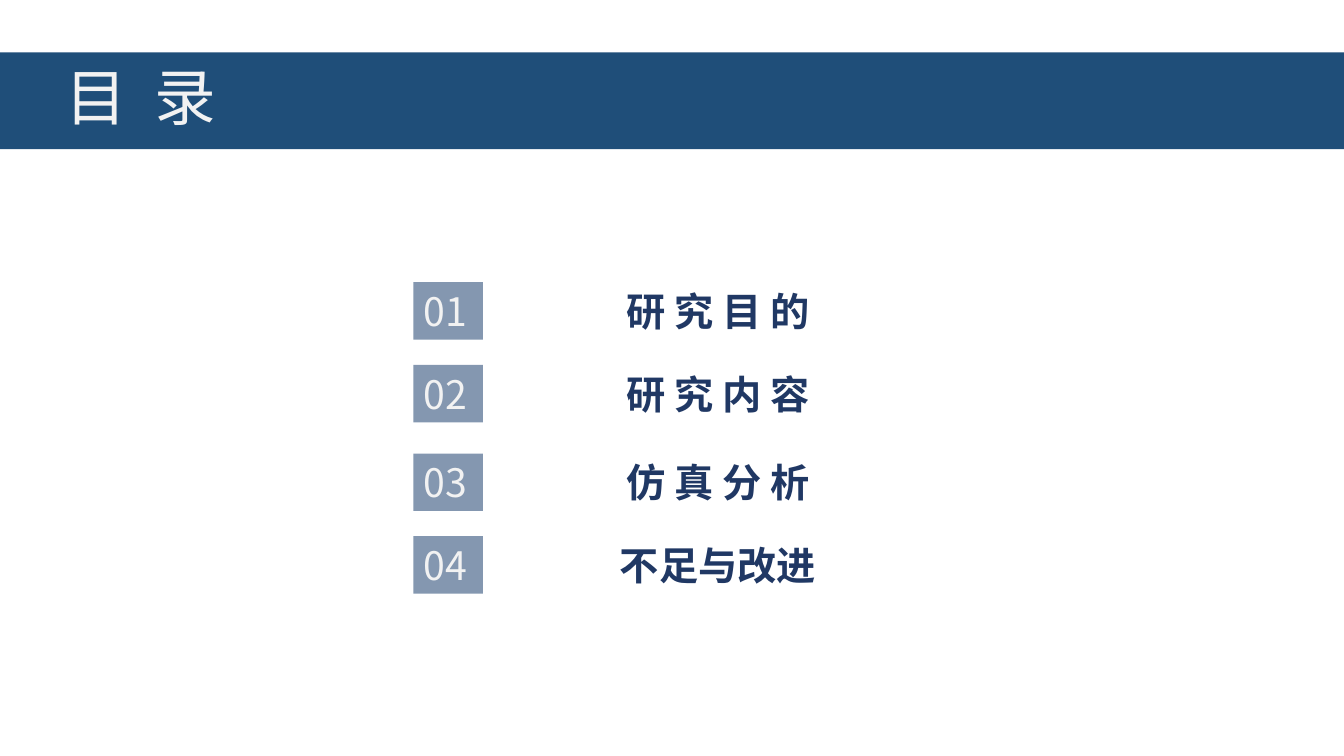
from lxml import etree
from pptx import Presentation
from pptx.dml.color import RGBColor
from pptx.enum.shapes import MSO_SHAPE
from pptx.enum.text import MSO_ANCHOR, MSO_AUTO_SIZE, PP_ALIGN
from pptx.oxml.ns import qn
from pptx.util import Inches, Pt

FONT = "Noto Sans CJK SC"
BAND, TILE, LIGHT, NAVY = "1F4E79", "8497B0", "F2F2F2", "203864"


def rgb(value):
    return RGBColor.from_string(value)


class ContentsSlide:
    def __init__(self, prs):
        self.s = prs.slides.add_slide(prs.slide_layouts[5])

    def set_text(self, sp, text, size, color, bold=False, align=PP_ALIGN.LEFT):
        tf = sp.text_frame
        tf.text = text
        tf.word_wrap = True
        tf.auto_size = MSO_AUTO_SIZE.NONE
        tf.vertical_anchor = MSO_ANCHOR.MIDDLE
        p = tf.paragraphs[0]
        p.alignment = align
        r = p.runs[0]
        r.font.size = Pt(size)
        r.font.bold = bold
        r.font.name = FONT
        r.font.color.rgb = rgb(color)
        # East Asian typeface for the Chinese characters
        rPr = r._r.get_or_add_rPr()
        etree.SubElement(rPr, qn("a:ea")).set("typeface", FONT)
        return p

    def title(self, text, left, top, width, height):
        sp = self.s.shapes.title
        sp.left, sp.top = Inches(left), Inches(top)
        sp.width, sp.height = Inches(width), Inches(height)
        sp.fill.solid()
        sp.fill.fore_color.rgb = rgb(BAND)
        p = self.set_text(sp, text, 44, LIGHT)
        p.line_spacing = 0.9
        sp.text_frame.margin_left = Inches(0.65)
        # Letter spacing in hundredths of a point
        p.runs[0]._r.get_or_add_rPr().set("spc", "490")

    def tile(self, text, left, top, width, height):
        sp = self.s.shapes.add_shape(MSO_SHAPE.RECTANGLE, Inches(left), Inches(top),
                                     Inches(width), Inches(height))
        sp.shadow.inherit = False
        sp.fill.solid()
        sp.fill.fore_color.rgb = rgb(TILE)
        sp.line.fill.background()
        self.set_text(sp, text, 28, LIGHT)

    def label(self, text, left, top, width, height):
        sp = self.s.shapes.add_textbox(Inches(left), Inches(top),
                                       Inches(width), Inches(height))
        self.set_text(sp, text, 28, NAVY, bold=True, align=PP_ALIGN.CENTER)


def main():
    prs = Presentation()
    prs.slide_width, prs.slide_height = Inches(13.33), Inches(7.5)
    slide = ContentsSlide(prs)

    # Title band
    slide.title("目 录", 0, 0.52, 13.33, 0.96)

    # Numbered chapters
    chapters = [("研 究 目 的", 2.8), ("研 究 内 容", 3.62),
                ("仿 真 分 析", 4.5), ("不足与改进", 5.32)]
    for number, (name, top) in enumerate(chapters, 1):
        slide.tile(f"{number:02}", 4.1, top, 0.69, 0.57)
        slide.label(name, 6.04, top, 2.16, 0.57)

    prs.save("out.pptx")


if __name__ == "__main__":
    main()
